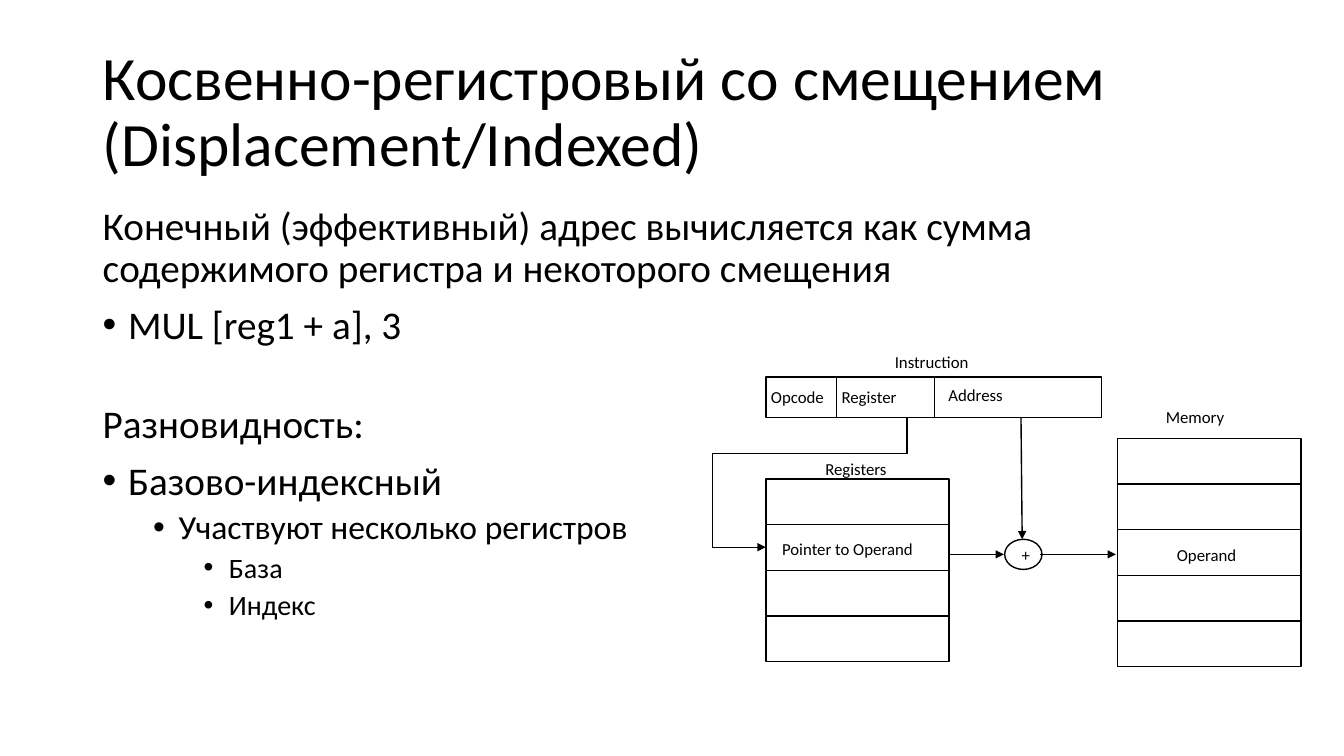
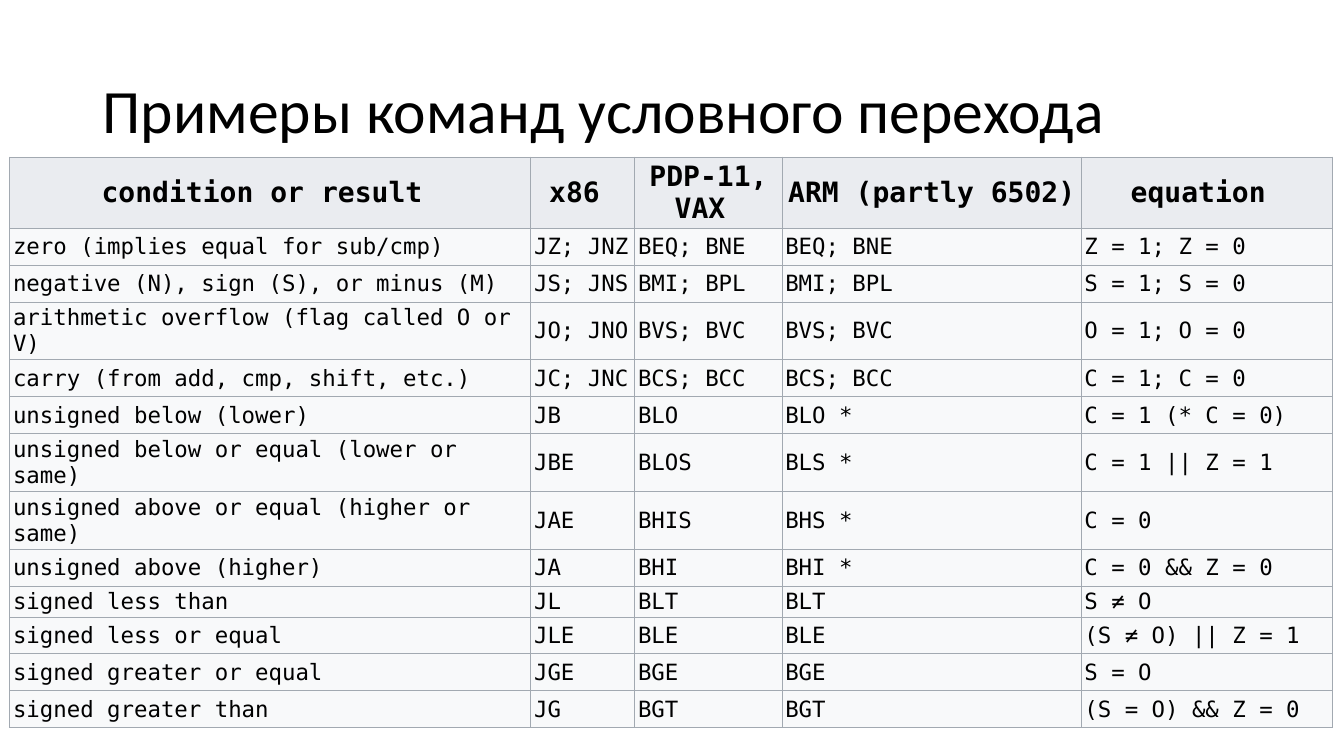
from lxml import etree
from pptx import Presentation
from pptx.dml.color import RGBColor
from pptx.enum.shapes import MSO_CONNECTOR, MSO_SHAPE
from pptx.enum.text import MSO_ANCHOR, PP_ALIGN
from pptx.oxml.ns import qn
from pptx.util import Cm, Pt

STRAIGHT = MSO_CONNECTOR.STRAIGHT
RECTANGLE = MSO_SHAPE.RECTANGLE
OVAL = MSO_SHAPE.OVAL
TOP = MSO_ANCHOR.TOP
MIDDLE = MSO_ANCHOR.MIDDLE
LEFT = PP_ALIGN.LEFT
CENTER = PP_ALIGN.CENTER

COLORS = {
    "ink": "000000",
    "paper": "FFFFFF",
    "border": "A2A9B1",
    "header": "EAECF0",
    "cell": "F8F9FA",
}
TEXT_FONT = "Calibri"
CODE_FONT = "DejaVu Sans Mono"
INDENT = 0.64
LEVEL_STEP = 1.27

BODY = [
    ("Конечный (эффективный) адрес вычисляется как сумма содержимого регистра и некоторого смещения", None, 28, 10),
    ("MUL [reg1 + a], 3", 0, 28, 10),
    ("Разновидность:", None, 28, 41),
    ("Базово-индексный", 0, 28, 10),
    ("Участвуют несколько регистров", 1, 24, 5),
    ("База", 2, 20, 5),
    ("Индекс", 2, 20, 5),
]

LABELS = [
    ("Register", 20.96, 9.63, 1.91),
    ("Opcode", 19.18, 9.63, 1.85),
    ("Instruction", 22.3, 8.74, 2.39),
    ("Memory", 29.13, 10.13, 2.01),
    ("Operand", 29.41, 13.59, 2.01),
    ("Pointer to Operand", 19.46, 13.46, 3.84),
    ("Registers", 20.55, 11.43, 2.06),
    ("Address", 23.65, 9.58, 1.91),
    ("+", 25.5, 13.59, 0.71),
]

COLUMN_WIDTHS = [13.13, 2.62, 3.71, 7.54, 6.32]
HEADER_HEIGHT, ROW_HEIGHT, WRAPPED_HEIGHT, LOW_HEIGHT = 1.72, 0.93, 1.38, 0.74
CONDITIONS = [
    (HEADER_HEIGHT, "condition or result ", "x86 ", "PDP-11, VAX ", "ARM (partly 6502) ", "equation "),
    (ROW_HEIGHT, "zero (implies equal for sub/cmp)", "JZ; JNZ", "BEQ; BNE", "BEQ; BNE", "Z = 1; Z = 0"),
    (ROW_HEIGHT, "negative (N), sign (S), or minus (M)", "JS; JNS", "BMI; BPL", "BMI; BPL", "S = 1; S = 0"),
    (WRAPPED_HEIGHT, "arithmetic overflow (flag called O or V)", "JO; JNO", "BVS; BVC", "BVS; BVC", "O = 1; O = 0"),
    (ROW_HEIGHT, "carry (from add, cmp, shift, etc.)", "JC; JNC", "BCS; BCC", "BCS; BCC", "C = 1; C = 0"),
    (ROW_HEIGHT, "unsigned below (lower)", "JB", "BLO", "BLO *", "C = 1 (* C = 0)"),
    (WRAPPED_HEIGHT, "unsigned below or equal (lower or same)", "JBE", "BLOS", "BLS *", "C = 1 || Z = 1"),
    (WRAPPED_HEIGHT, "unsigned above or equal (higher or same)", "JAE", "BHIS", "BHS *", "C = 0"),
    (ROW_HEIGHT, "unsigned above (higher)", "JA", "BHI", "BHI *", "C = 0 && Z = 0"),
    (LOW_HEIGHT, "signed less than", "JL", "BLT", "BLT", "S ≠ O"),
    (ROW_HEIGHT, "signed less or equal", "JLE", "BLE", "BLE", "(S ≠ O) || Z = 1"),
    (ROW_HEIGHT, "signed greater or equal", "JGE", "BGE", "BGE", "S = O"),
    (ROW_HEIGHT, "signed greater than", "JG", "BGT", "BGT", "(S = O) && Z = 0"),
]


def color(name):
    return RGBColor.from_string(COLORS[name])


class Deck:
    def __init__(self):
        self.presentation = Presentation()
        self.presentation.slide_width = Cm(33.87)
        self.presentation.slide_height = Cm(19.05)
        self.slide = None

    def new_slide(self, title):
        self.slide = self.presentation.slides.add_slide(self.presentation.slide_layouts[6])
        fill = self.slide.background.fill
        fill.solid()
        fill.fore_color.rgb = color("paper")
        frame = self.text_frame(2.34, 1.02, 29.21, 3.68, MIDDLE)
        paragraph = frame.paragraphs[0]
        self.set_text(paragraph, title, 44)
        paragraph.line_spacing = 0.9

    def text_frame(self, left, top, width, height, anchor=TOP, wrap=True):
        shape = self.slide.shapes.add_textbox(Cm(left), Cm(top), Cm(width), Cm(height))
        frame = shape.text_frame
        frame.word_wrap = wrap
        frame.vertical_anchor = anchor
        return frame

    def set_text(self, paragraph, text, size, font=TEXT_FONT, bold=False, align=LEFT):
        paragraph.text = text
        paragraph.alignment = align
        for run in paragraph.runs:
            run.font.size = Pt(size)
            run.font.name = font
            run.font.bold = bold
            run.font.color.rgb = color("ink")

    def bullets(self, items, left, top, width, height):
        frame = self.text_frame(left, top, width, height)
        for index, (text, level, size, space) in enumerate(items):
            paragraph = frame.add_paragraph() if index else frame.paragraphs[0]
            self.set_text(paragraph, text, size)
            paragraph.line_spacing = 0.9
            paragraph.space_before = Pt(space)
            if level is not None:
                paragraph.level = level
                properties = paragraph._p.get_or_add_pPr()
                properties.set("marL", str(Cm(INDENT + level * LEVEL_STEP)))
                properties.set("indent", str(-Cm(INDENT)))
                etree.SubElement(properties, qn("a:buFont"), typeface="Arial")
                etree.SubElement(properties, qn("a:buChar"), char="•")

    def label(self, text, left, top, width):
        frame = self.text_frame(left, top, width, 0.76, wrap=False)
        self.set_text(frame.paragraphs[0], text, 12)

    def outline(self, shape):
        shape.shadow.inherit = False
        shape.fill.background()
        shape.line.color.rgb = color("ink")
        shape.line.width = Pt(1)

    def box(self, left, top, width, height, kind=RECTANGLE):
        self.outline(self.slide.shapes.add_shape(kind, Cm(left), Cm(top), Cm(width), Cm(height)))

    def stack(self, left, top, count, width=4.62, height=1.15):
        for index in range(count):
            self.box(left, top + index * height, width, height)

    def arrowhead(self, shape):
        line = shape.element.spPr.find(qn("a:ln"))
        etree.SubElement(line, qn("a:tailEnd"), type="triangle")

    def line(self, start_x, start_y, end_x, end_y, arrow=False, weight=1):
        connector = self.slide.shapes.add_connector(
            STRAIGHT, Cm(start_x), Cm(start_y), Cm(end_x), Cm(end_y))
        connector.line.color.rgb = color("ink")
        connector.line.width = Pt(weight)
        if arrow:
            self.arrowhead(connector)
        etree.SubElement(connector.element.spPr, qn("a:effectLst"))

    def bent_arrow(self, points):
        start, *others = [(Cm(x), Cm(y)) for x, y in points]
        builder = self.slide.shapes.build_freeform(*start)
        builder.add_line_segments(others, close=False)
        shape = builder.convert_to_shape()
        self.outline(shape)
        self.arrowhead(shape)

    def cell(self, cell, text, header):
        cell.margin_left = cell.margin_right = Cm(0.08)
        cell.margin_top = cell.margin_bottom = Cm(0.05)
        cell.vertical_anchor = MIDDLE
        self.set_text(cell.text_frame.paragraphs[0], text, 20 if header else 16,
                      CODE_FONT, header, CENTER if header else LEFT)
        properties = cell._tc.get_or_add_tcPr()
        for side in ("lnL", "lnR", "lnT", "lnB"):
            border = etree.SubElement(properties, qn("a:" + side), w=str(Pt(0.75)))
            fill = etree.SubElement(border, qn("a:solidFill"))
            etree.SubElement(fill, qn("a:srgbClr"), val=COLORS["border"])
        cell.fill.solid()
        cell.fill.fore_color.rgb = color("header" if header else "cell")

    def table(self, rows, widths, left, top):
        height = sum(row[0] for row in rows)
        table = self.slide.shapes.add_table(
            len(rows), len(widths), Cm(left), Cm(top), Cm(sum(widths)), Cm(height)).table
        table.first_row = table.horz_banding = False
        for column, width in zip(table.columns, widths):
            column.width = Cm(width)
        for row_index, (row_height, *texts) in enumerate(rows):
            table.rows[row_index].height = Cm(row_height)
            for column_index, text in enumerate(texts):
                self.cell(table.cell(row_index, column_index), text, row_index == 0)


def addressing_slide(deck):
    deck.new_slide("Косвенно-регистровый со смещением (Displacement/Indexed)")
    deck.bullets(BODY, 2.34, 5.08, 29.21, 12.09)
    deck.box(19.3, 9.5, 8.46, 1.02)
    for divider in (21.08, 23.55):
        deck.line(divider, 9.52, divider, 10.52)
    deck.stack(28.17, 11.05, 5)
    deck.stack(19.3, 12.07, 4)
    deck.line(22.86, 10.54, 22.86, 11.43)
    deck.line(22.86, 11.43, 17.95, 11.43)
    deck.bent_arrow([(17.95, 11.43), (17.95, 13.79), (19.3, 13.79)])
    deck.box(25.32, 13.59, 0.94, 0.76, OVAL)
    deck.line(25.73, 10.54, 25.76, 13.59, arrow=True)
    for start, end in ((26.21, 28.12), (23.95, 25.3)):
        deck.line(start, 13.97, end, 13.97, arrow=True, weight=0.75)
    for label in LABELS:
        deck.label(*label)


def conditions_slide(deck):
    deck.new_slide("Примеры команд условного перехода")
    deck.table(CONDITIONS, COLUMN_WIDTHS, 0.25, 3.96)


def main():
    deck = Deck()
    addressing_slide(deck)
    conditions_slide(deck)
    deck.presentation.save("out.pptx")


if __name__ == "__main__":
    main()
